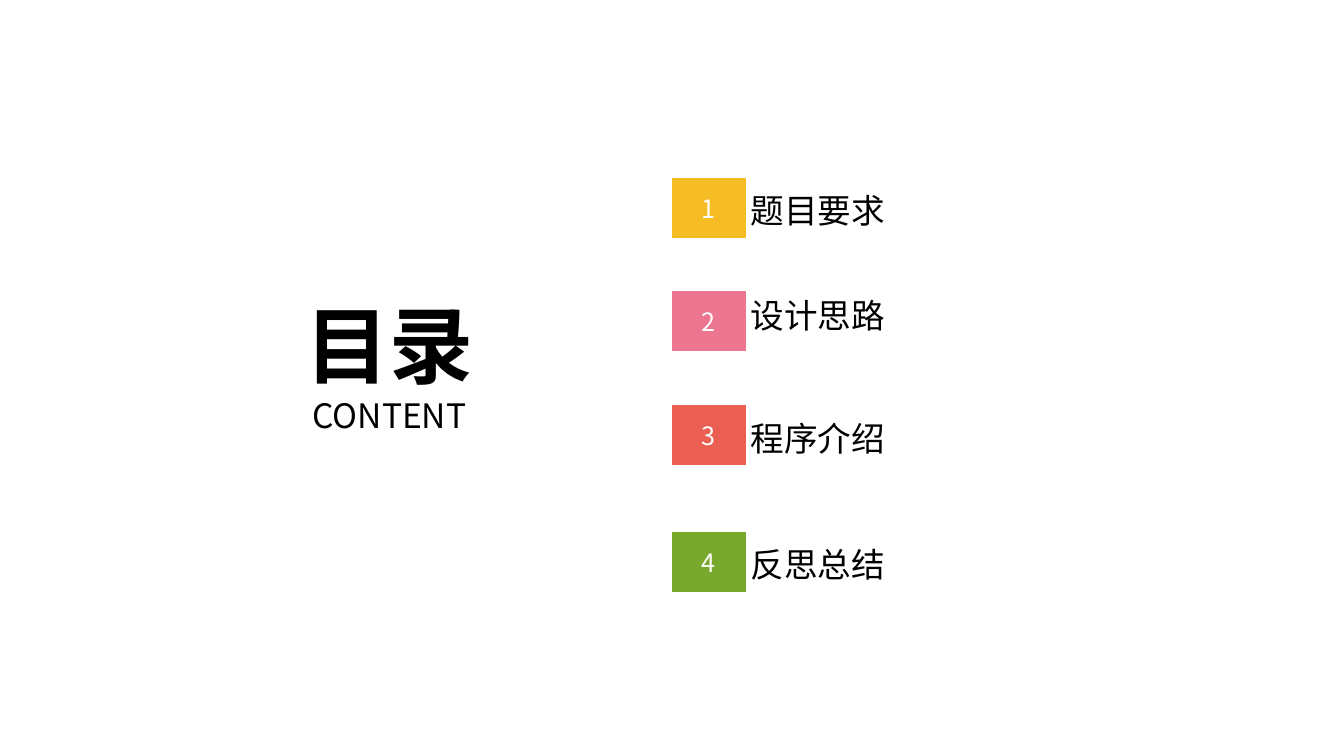
from lxml.etree import SubElement
from pptx import Presentation
from pptx.dml.color import RGBColor
from pptx.enum.shapes import MSO_SHAPE
from pptx.enum.text import MSO_ANCHOR, MSO_AUTO_SIZE, PP_ALIGN
from pptx.oxml.ns import qn
from pptx.util import Pt

FONT = "Noto Sans CJK SC"
BLACK = RGBColor(0x00, 0x00, 0x00)
WHITE = RGBColor(0xFF, 0xFF, 0xFF)
YELLOW = RGBColor(0xF5, 0xBD, 0x23)
PINK = RGBColor(0xEC, 0x76, 0x90)
RED = RGBColor(0xEB, 0x5F, 0x52)
GREEN = RGBColor(0x78, 0xA8, 0x2C)

TILE_WIDTH, TILE_HEIGHT = 52.6, 42.6
LABEL_HEIGHT = 54.7
CHAPTERS = [
    ("题目要求", YELLOW, 127.4, 122.4),
    ("设计思路", PINK, 208, 198),
    ("程序介绍", RED, 289.4, 285.8),
    ("反思总结", GREEN, 380.2, 375.8),
]


def add_run(paragraph, text, size, color, alignment, bold=False):
    """Add a formatted run, with the font set for Latin and Chinese text."""
    paragraph.alignment = alignment
    run = paragraph.add_run()
    run.text = text
    font = run.font
    font.size, font.bold, font.name = Pt(size), bold, FONT
    font.color.rgb = color
    SubElement(font._element, qn("a:ea"), typeface=FONT)


def add_heading(slide, left, top, width, height):
    """Place the title and its English line in a translucent white circle."""
    title = slide.shapes.title
    title.left, title.top = Pt(left), Pt(top)
    title.width, title.height = Pt(width), Pt(height)
    geometry = SubElement(title._element.spPr, qn("a:prstGeom"), prst="ellipse")
    SubElement(geometry, qn("a:avLst"))
    title.fill.solid()
    title.fill.fore_color.rgb = WHITE
    color = title._element.spPr.find(qn("a:solidFill")).find(qn("a:srgbClr"))
    SubElement(color, qn("a:alpha"), val="78000")
    frame = title.text_frame
    frame.word_wrap = True
    frame.auto_size = MSO_AUTO_SIZE.NONE
    frame.vertical_anchor = MSO_ANCHOR.MIDDLE
    add_run(frame.paragraphs[0], "目录", 60, BLACK, PP_ALIGN.CENTER, bold=True)
    add_run(frame.add_paragraph(), "CONTENT", 24, BLACK, PP_ALIGN.CENTER)


def add_tile(slide, left, top, number, color):
    """Draw a coloured tile holding a chapter number."""
    tile = slide.shapes.add_shape(
        MSO_SHAPE.PARALLELOGRAM, Pt(left), Pt(top), Pt(TILE_WIDTH), Pt(TILE_HEIGHT))
    tile.adjustments[0] = 0
    tile.shadow.inherit = False
    tile.fill.solid()
    tile.fill.fore_color.rgb = color
    tile.line.fill.background()
    frame = tile.text_frame
    frame.vertical_anchor = MSO_ANCHOR.MIDDLE
    add_run(frame.paragraphs[0], str(number), 18, WHITE, PP_ALIGN.CENTER)


def add_label(slide, left, top, width, text):
    """Write a chapter name in an unfilled outline."""
    right, bottom = Pt(left + width), Pt(top + LABEL_HEIGHT)
    builder = slide.shapes.build_freeform(Pt(left), Pt(top))
    builder.add_line_segments(
        [(right, Pt(top)), (right, bottom), (Pt(left), bottom)], close=True)
    label = builder.convert_to_shape()
    label.shadow.inherit = False
    label.fill.background()
    label.line.fill.background()
    frame = label.text_frame
    frame.word_wrap = True
    frame.vertical_anchor = MSO_ANCHOR.MIDDLE
    frame.margin_left = frame.margin_right = Pt(3.6)
    add_run(frame.paragraphs[0], text, 24, BLACK, PP_ALIGN.LEFT)


def add_chapters(slide, left, width):
    """Place the numbered chapters in a column."""
    for number, (text, color, tile_top, label_top) in enumerate(CHAPTERS, start=1):
        add_tile(slide, left, tile_top, number, color)
        add_label(slide, left + TILE_WIDTH, label_top, width - TILE_WIDTH, text)


def main():
    """Build the contents slide and save it."""
    presentation = Presentation()
    presentation.slide_width, presentation.slide_height = Pt(960.5), Pt(540)
    slide = presentation.slides.add_slide(presentation.slide_layouts[5])
    add_heading(slide, 180.7, 162.7, 195.1, 195.1)
    add_chapters(slide, 480.3, 270)
    presentation.save("out.pptx")


if __name__ == "__main__":
    main()
